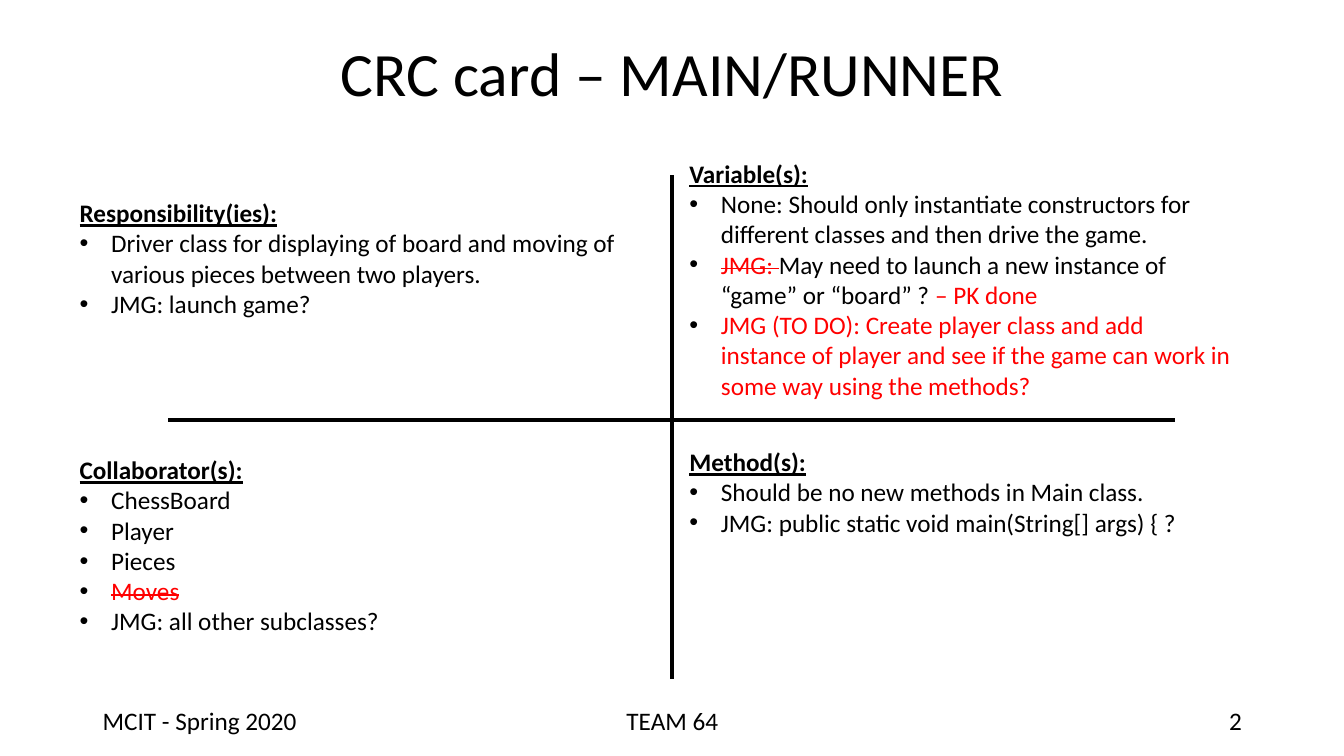
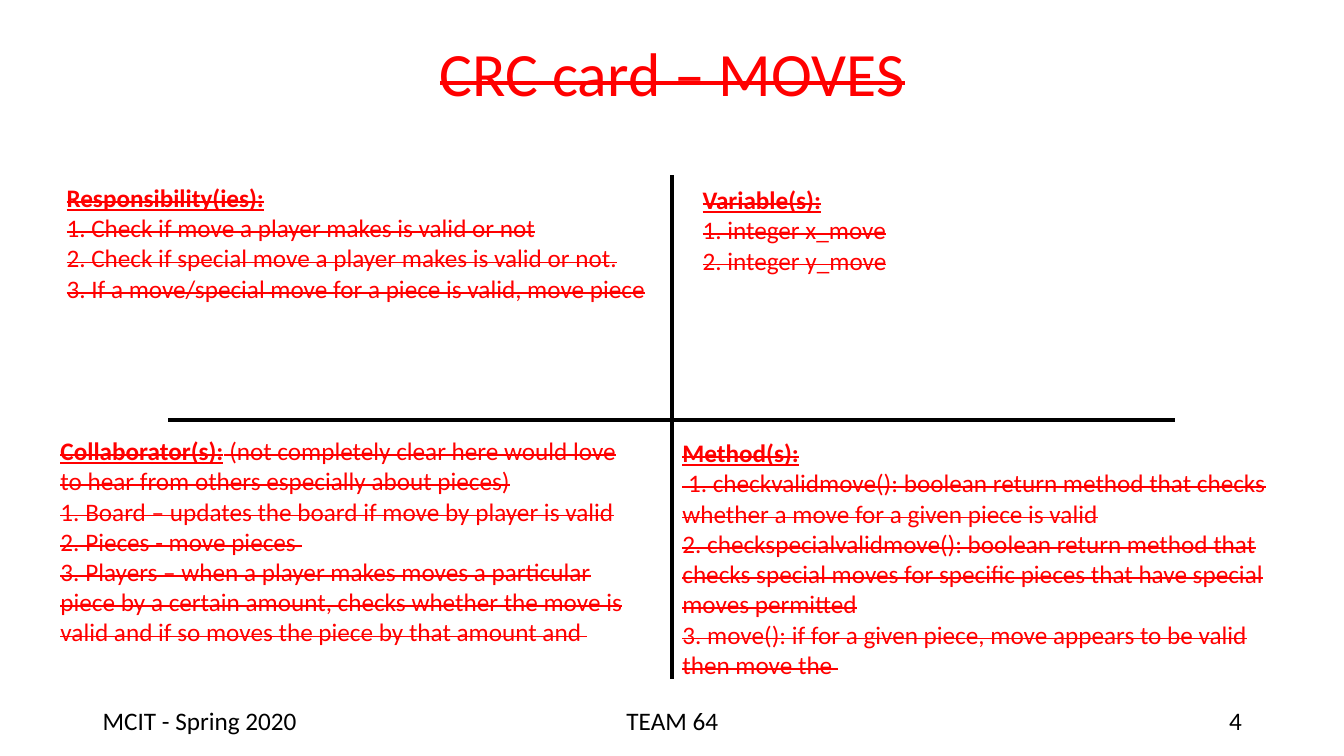
from lxml import etree
from pptx import Presentation
from pptx import util as u
from pptx.dml.color import RGBColor
from pptx.enum import shapes, text
from pptx.oxml.ns import qn

BLACK, RED = "000000", "FF0000"
FONT = "Calibri"
ALIGN = text.PP_ALIGN
HEAD, PLAIN, STRUCK, TODO, STRUCK_HEAD = "head", "plain", "struck", "todo", "struck head"
STYLES = {
    HEAD: (BLACK, True, False),
    PLAIN: (BLACK, False, False),
    STRUCK: (RED, False, True),
    TODO: (RED, False, False),
    STRUCK_HEAD: (RED, True, True),
}
TITLE_BOX = (66.25, 2.15, 828, 104.4)
CROSS_BOX = (120.25, 125.3, 719.25, 360)
FOOTER_BOX = (66.25, 500.4, 828, 28.8)


def rgb(value):
    return RGBColor.from_string(value)


def add_run(p, words, style, size):
    color, heading, struck = STYLES[style]
    r = p.add_run()
    r.text = words
    r.font.name = FONT
    r.font.size = u.Pt(size)
    r.font.color.rgb = rgb(color)
    r.font.bold = r.font.underline = heading
    if struck:
        r._r.get_or_add_rPr().set("strike", "sngStrike")


def add_bullet(p, indent=22.5):
    pPr = p._p.get_or_add_pPr()
    pPr.set("marL", str(u.Pt(indent)))
    pPr.set("indent", str(-u.Pt(indent)))
    color = etree.SubElement(pPr, qn("a:buClr"))
    etree.SubElement(color, qn("a:srgbClr"), val=BLACK)
    etree.SubElement(pPr, qn("a:buFont"), typeface="Arial")
    etree.SubElement(pPr, qn("a:buChar"), char="•")


def add_text(s, box, paragraphs, size=18, align=ALIGN.LEFT, inset=7.2, bullets=False):
    sp = s.shapes.add_textbox(*map(u.Pt, box))
    tf = sp.text_frame
    tf.word_wrap = True
    tf.margin_left = tf.margin_right = u.Pt(inset)
    tf.margin_top = tf.margin_bottom = u.Pt(3.6)
    for i, runs in enumerate(paragraphs):
        p = tf.add_paragraph() if i else tf.paragraphs[0]
        p.alignment = align
        for words, style in runs:
            add_run(p, words, style, size)
        if bullets and i:
            add_bullet(p)
    return tf


def add_title(s, box, words, style):
    tf = add_text(s, box, [[(words, style)]], 44, ALIGN.CENTER)
    tf.vertical_anchor = text.MSO_ANCHOR.MIDDLE
    tf.paragraphs[0].line_spacing = 0.9


def add_cross(s, box):
    x, y, w, h = box
    mid_x, mid_y = x + w / 2, y + h * 0.485
    for ends in ((mid_x, y, mid_x, y + h), (x, mid_y, x + w, mid_y)):
        line = s.shapes.add_connector(shapes.MSO_CONNECTOR.STRAIGHT, *map(u.Pt, ends))
        line.line.color.rgb = rgb(BLACK)
        line.line.width = u.Pt(3)
        etree.SubElement(line._element.spPr, qn("a:effectLst"))


def add_footer(s, box, number):
    x, y, w, h = box
    side, middle = 216, 324
    for left, width, words, align in (
        (x, side, "MCIT - Spring 2020", ALIGN.LEFT),
        (x + (w - middle) / 2, middle, "TEAM 64", ALIGN.CENTER),
        (x + w - side, side, number, ALIGN.RIGHT),
    ):
        add_text(s, (left, y, width, h), [[(words, PLAIN)]], align=align)


def add_card(prs, title, title_style, number, quadrants, bullets):
    s = prs.slides.add_slide(prs.slide_layouts[6])
    add_title(s, TITLE_BOX, title, title_style)
    add_cross(s, CROSS_BOX)
    add_footer(s, FOOTER_BOX, number)
    for box, paragraphs in quadrants:
        add_text(s, box, paragraphs, inset=3.6, bullets=bullets)


def lines(style, *words):
    return [[(w, style)] for w in words]


RUNNER = [
    ((53.3, 137.5, 396, 144), lines(HEAD, "Responsibility(ies):") + lines(
        PLAIN,
        "Driver class for displaying of board and moving of various pieces between two players.",
        "JMG: launch game?")),
    ((53.3, 321.1, 396, 144), lines(HEAD, "Collaborator(s):")
        + lines(PLAIN, "ChessBoard", "Player", "Pieces")
        + lines(STRUCK, "Moves")
        + lines(PLAIN, "JMG: all other subclasses?")),
    ((488.9, 109.45, 396, 173.5), lines(HEAD, "Variable(s):")
        + lines(PLAIN, "None: Should only instantiate constructors for different classes "
                "and then drive the game.")
        + [[("JMG: ", STRUCK),
            ("May need to launch a new instance of “game” or “board” ? ", PLAIN),
            ("– PK done ", TODO)]]
        + lines(TODO, "JMG (TO DO): Create player class and add instance of player and see "
                "if the game can work in some way using the methods?")),
    ((488.9, 315.35, 396, 144), lines(HEAD, "Method(s):") + lines(
        PLAIN,
        "Should be no new methods in Main class.",
        "JMG: public static void main(String[] args) { ?")),
]

MOVES = [
    ((43.9, 126.7, 430.55, 144), lines(STRUCK_HEAD, "Responsibility(ies):") + lines(
        STRUCK,
        "1. Check if move a player makes is valid or not",
        "2. Check if special move a player makes is valid or not.",
        "3. If a move/special move for a piece is valid, move piece")),
    ((39.6, 307.45, 421.2, 144), [[
        ("Collaborator(s):", STRUCK_HEAD),
        (" (not completely clear here would love to hear from others especially about pieces)",
         STRUCK)]] + lines(
        STRUCK,
        "1. Board – updates the board if move by player is valid",
        "2. Pieces - move pieces ",
        "3. Players – when a player makes moves a particular piece by a certain amount, "
        "checks whether the move is valid and if so moves the piece by that amount and ")),
    ((498.25, 128.15, 396, 144), lines(STRUCK_HEAD, "Variable(s):") + lines(
        STRUCK, "1. integer x_move", "2. integer y_move")),
    ((483.85, 308.9, 432, 191.5), lines(STRUCK_HEAD, "Method(s):") + lines(
        STRUCK,
        " 1. checkvalidmove(): boolean return method that checks whether a move for a given "
        "piece is valid",
        "2. checkspecialvalidmove(): boolean return method that checks special moves for "
        "specific pieces that have special moves permitted",
        "3. move(): if for a given piece, move appears to be valid then move the ")),
]

prs = Presentation()
prs.slide_width, prs.slide_height = u.Pt(960), u.Pt(540)
add_card(prs, "CRC card – MAIN/RUNNER", PLAIN, "2", RUNNER, bullets=True)
add_card(prs, "CRC card – MOVES", STRUCK, "4", MOVES, bullets=False)
prs.save("out.pptx")
